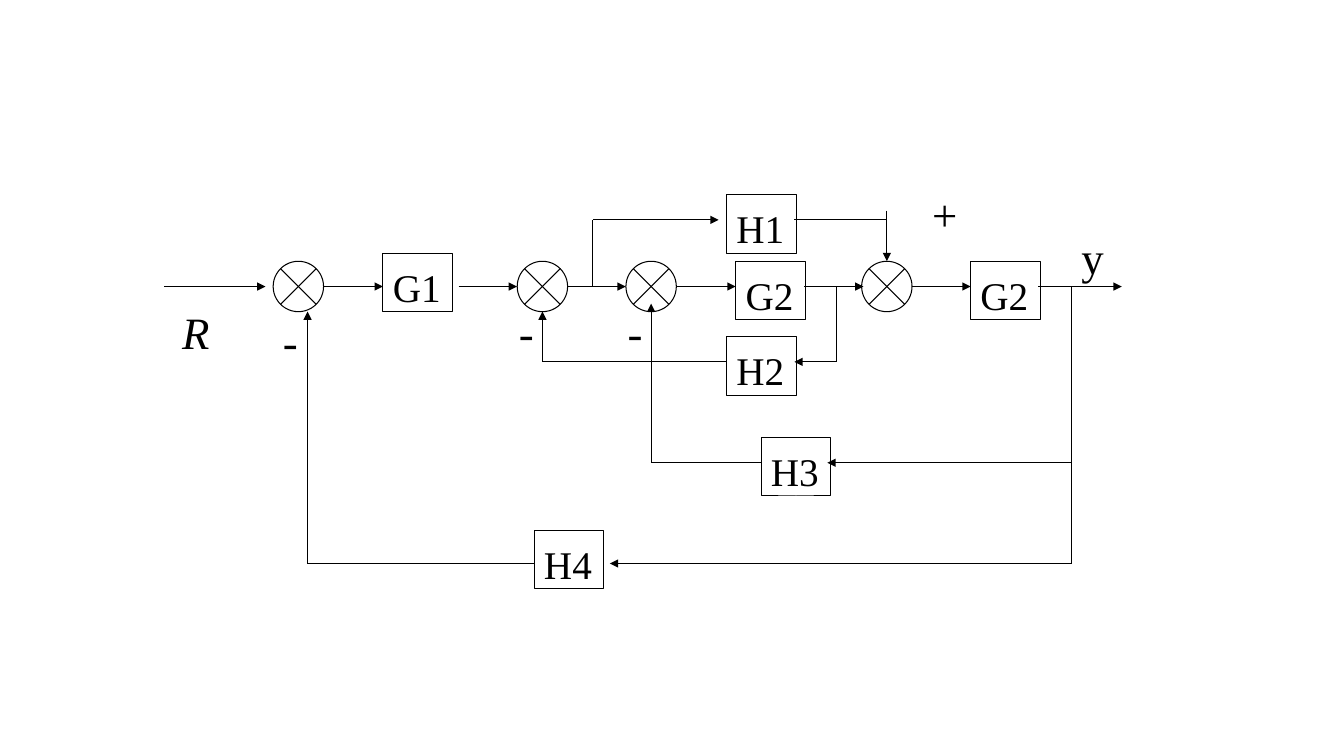
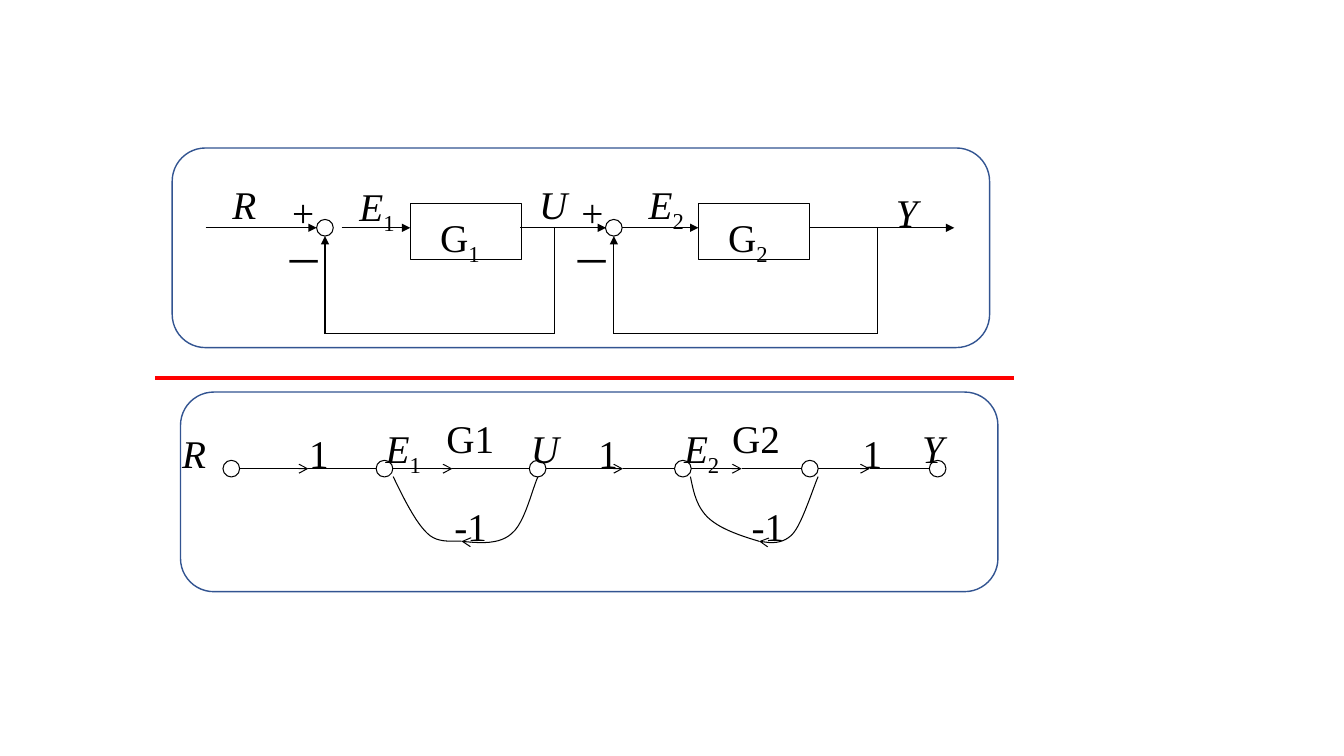
"""Build two slides of control diagrams: block diagrams and a signal-flow graph."""
from lxml import etree
from pptx import Presentation
from pptx.dml.color import RGBColor
from pptx.enum.shapes import MSO_CONNECTOR, MSO_SHAPE
from pptx.enum.text import MSO_ANCHOR, PP_ALIGN
from pptx.oxml.ns import qn
from pptx.util import Cm, Pt

RECTANGLE = MSO_SHAPE.RECTANGLE
ROUNDED = MSO_SHAPE.ROUNDED_RECTANGLE
OVAL = MSO_SHAPE.OVAL
JUNCTION = MSO_SHAPE.FLOWCHART_SUMMING_JUNCTION
STRAIGHT = MSO_CONNECTOR.STRAIGHT

COLORS = {"ink": "000000", "panel": "FFFFFF", "border": "325491", "divider": "FF0000"}
FONT = "Times New Roman"
ITALIC_SIGNALS = "REUY"
CURVE_STEPS = 12

LOOP_AXIS = 7.22
JUNCTION_SIZE = 1.27
JUNCTION_CENTERS = [7.52, 13.67, 16.41, 22.35]
LOOP_BLOCK_SIZE = (1.76, 1.48)
LOOP_BLOCKS = [
    ("G1", 9.65, 6.38), ("G2", 18.54, 6.58), ("G2", 24.46, 6.58), ("H1", 18.31, 4.9),
    ("H2", 18.31, 8.48), ("H3", 19.18, 11.02), ("H4", 13.46, 13.36),
]
LOOP_FORWARD = [
    (4.14, 6.69), (8.15, 9.65), (11.56, 13.03), (14.3, 15.77),
    (17.04, 18.54), (20.27, 21.76), (22.99, 24.46), (26.16, 28.27),
]
LOOP_BRANCHES = [
    [(27, LOOP_AXIS), (27, 14.2), (15.37, 14.2)],
    [(27, 11.66), (20.85, 11.66)],
    [(21.08, LOOP_AXIS), (21.08, 9.12), (20.02, 9.12)],
    [(18.31, 9.12), (13.67, 9.12), (13.67, 7.85)],
    [(19.18, 11.66), (16.41, 11.66), (16.41, 7.65)],
    [(14.94, LOOP_AXIS), (14.94, 5.54), (18.11, 5.54)],
    [(22.35, 5.31), (22.35, 6.58)],
    [(13.46, 14.2), (7.75, 14.2), (7.75, 7.85)],
]
H1_OUTPUT = [(20.02, 5.54), (22.35, 5.54)]
LOOP_LABELS = [
    ("-", 6.88, 7.65), ("-", 12.83, 7.44), ("-", 15.57, 7.44),
    ("+", 23.24, 4.45), ("R", 4.34, 7.44), ("y", 27, 5.54),
]

PANEL_SIZE = (20.6, 5.03)
PANELS = [(4.55, 9.88), (4.34, 3.73)]
DIVIDER = [(3.91, 9.53), (25.55, 9.53)]
NODE_SIZE = 0.42
CASCADE_AXIS = 5.74
CASCADE_NODES = [8.19, 15.47]
CASCADE_BLOCK_SIZE = (2.8, 1.42)
CASCADE_BLOCKS = [("G_1", 10.34, 5.13), ("G_2", 17.6, 5.13)]
CASCADE_FORWARD = [
    (5.18, 7.98), (8.61, 10.34), (13.11, 15.27), (15.67, 17.6), (20.4, 24.05),
]
CASCADE_FEEDBACK = [(13.97, 8.19), (22.12, 15.47)]
FEEDBACK_LEVEL = 8.41
GRAPH_AXIS = 11.81
GRAPH_NODES = [5.83, 9.69, 13.55, 17.21, 20.41, 23.63]
GRAPH_ARROW_TIPS = [7.77, 11.4, 15.7, 18.69, 21.92]
INCOMING_CURVES = [
    [(9.91, 12.01), (10.19, 12.6), (10.49, 13.18), (10.77, 13.44),
     (11.05, 13.72), (11.48, 13.61), (11.63, 13.64)],
    [(17.4, 12.01), (17.48, 12.4), (17.55, 12.75), (17.83, 13.03),
     (18.11, 13.31), (18.62, 13.49), (19.13, 13.64)],
]
OUTGOING_CURVES = [
    [(11.63, 13.64), (12.12, 13.69), (12.6, 13.72), (12.9, 13.44),
     (13.23, 13.18), (13.44, 12.24), (13.56, 12.01)],
    [(19.13, 13.64), (19.43, 13.69), (19.74, 13.72), (19.99, 13.44),
     (20.22, 13.18), (20.52, 12.22), (20.62, 12.01)],
]
SIGNAL_LABELS = [
    ("R", 5.61, 4.29), ("E_1", 8.81, 4.34), ("U", 13.34, 4.29), ("E_2", 16.1, 4.29),
    ("Y", 22.33, 4.5), ("+", 7.11, 4.5), ("+", 14.4, 4.5), ("－", 6.91, 5.74),
    ("－", 14.17, 5.74), ("1", 7.54, 10.57), ("1", 14.83, 10.57), ("1", 21.49, 10.57),
    ("-1", 11.2, 12.42), ("-1", 18.69, 12.42), ("R", 4.34, 10.57), ("E_1", 9.47, 10.44),
    ("U", 13.13, 10.44), ("E_2", 16.99, 10.44), ("Y", 22.99, 10.44),
    ("G1", 11, 10.2), ("G2", 18.2, 10.2),
]


def color(name):
    return RGBColor.from_string(COLORS[name])


def style_line(line, name="ink", width=0.75, **ends):
    line.color.rgb = color(name)
    line.width = Pt(width)
    properties = line._get_or_add_ln()
    for end, kind in ends.items():
        etree.SubElement(properties, qn(f"a:{end}"), type=kind)


def add_outline(slide, preset, left, top, width, height):
    shape = slide.shapes.add_shape(preset, Cm(left), Cm(top), Cm(width), Cm(height))
    shape.shadow.inherit = False
    shape.fill.background()
    style_line(shape.line)
    return shape


def add_circles(slide, preset, centers, axis, size):
    for center in centers:
        add_outline(slide, preset, center - size / 2, axis - size / 2, size, size)


def write_text(shape, text, size, indent=0.25):
    frame = shape.text_frame
    frame.word_wrap = True
    frame.vertical_anchor = MSO_ANCHOR.TOP
    frame.margin_left, frame.margin_top = Cm(indent), Cm(0.25)
    frame.margin_right = frame.margin_bottom = 0
    paragraph = frame.paragraphs[0]
    paragraph.alignment = PP_ALIGN.LEFT
    paragraph.font.name = FONT
    paragraph.font.size = Pt(size)
    paragraph.font.color.rgb = color("ink")
    base, _, subscript = text.partition("_")
    run = paragraph.add_run()
    run.text = base
    if base in ITALIC_SIGNALS:
        run.font.italic = True
    if subscript:
        run = paragraph.add_run()
        run.text = subscript
        run._r.get_or_add_rPr().set("baseline", "-25000")


def add_blocks(slide, blocks, block_size, indent=0.25):
    for text, left, top in blocks:
        block = add_outline(slide, RECTANGLE, left, top, *block_size)
        write_text(block, text, 28, indent)


def add_labels(slide, labels, size):
    for text, left, top in labels:
        box = slide.shapes.add_textbox(Cm(left), Cm(top), Cm(1.6), Cm(1.6))
        write_text(box, text, size)


def add_route(slide, points, arrow="triangle", name="ink", width=0.75):
    for index, (start, end) in enumerate(zip(points, points[1:]), 2):
        connector = slide.shapes.add_connector(
            STRAIGHT, *(Cm(value) for value in (*start, *end)))
        ends = {"tailEnd": arrow} if arrow and index == len(points) else {}
        style_line(connector.line, name, width, **ends)
        etree.SubElement(connector._element.spPr, qn("a:effectLst"))


def add_forward(slide, spans, axis):
    for start, end in spans:
        add_route(slide, [(start, axis), (end, axis)])


def bezier_point(controls, t):
    weights = ((1 - t) ** 3, 3 * t * (1 - t) ** 2, 3 * t * t * (1 - t), t ** 3)
    return tuple(Cm(sum(weight * point[axis] for weight, point in zip(weights, controls)))
                 for axis in (0, 1))


def add_curve(slide, controls, **ends):
    points = [bezier_point(controls[first:first + 4], step / CURVE_STEPS)
              for first in range(0, len(controls) - 1, 3)
              for step in range(1, CURVE_STEPS + 1)]
    start_x, start_y = controls[0]
    builder = slide.shapes.build_freeform(Cm(start_x), Cm(start_y))
    builder.add_line_segments(points, close=False)
    shape = builder.convert_to_shape()
    shape.shadow.inherit = False
    shape.fill.background()
    style_line(shape.line, **ends)


def build_loop_slide(slide):
    add_circles(slide, JUNCTION, JUNCTION_CENTERS, LOOP_AXIS, JUNCTION_SIZE)
    add_blocks(slide, LOOP_BLOCKS, LOOP_BLOCK_SIZE)
    add_forward(slide, LOOP_FORWARD, LOOP_AXIS)
    for branch in LOOP_BRANCHES:
        add_route(slide, branch)
    add_route(slide, H1_OUTPUT, arrow=None)
    add_labels(slide, LOOP_LABELS, 32)


def build_graph_slide(slide):
    for left, top in PANELS:
        panel = add_outline(slide, ROUNDED, left, top, *PANEL_SIZE)
        panel.fill.solid()
        panel.fill.fore_color.rgb = color("panel")
        style_line(panel.line, "border", 1)
    add_blocks(slide, CASCADE_BLOCKS, CASCADE_BLOCK_SIZE, indent=0.75)
    add_circles(slide, OVAL, CASCADE_NODES, CASCADE_AXIS, NODE_SIZE)
    add_forward(slide, CASCADE_FORWARD, CASCADE_AXIS)
    radius = NODE_SIZE / 2
    for tap, node in CASCADE_FEEDBACK:
        add_route(slide, [(tap, CASCADE_AXIS), (tap, FEEDBACK_LEVEL),
                          (node, FEEDBACK_LEVEL), (node, CASCADE_AXIS + radius)])
    add_circles(slide, OVAL, GRAPH_NODES, GRAPH_AXIS, NODE_SIZE)
    for start, tip, end in zip(GRAPH_NODES, GRAPH_ARROW_TIPS, GRAPH_NODES[1:]):
        add_route(slide, [(start + radius, GRAPH_AXIS), (tip, GRAPH_AXIS)], "arrow")
        add_route(slide, [(tip, GRAPH_AXIS), (end - radius, GRAPH_AXIS)], None)
    for curve in INCOMING_CURVES:
        add_curve(slide, curve)
    for curve in OUTGOING_CURVES:
        add_curve(slide, curve, headEnd="arrow")
    add_labels(slide, SIGNAL_LABELS, 28)
    add_route(slide, DIVIDER, None, "divider", 3)


def main():
    presentation = Presentation()
    presentation.slide_width, presentation.slide_height = Cm(33.87), Cm(19.05)
    for build in (build_loop_slide, build_graph_slide):
        build(presentation.slides.add_slide(presentation.slide_layouts[6]))
    presentation.save("out.pptx")


if __name__ == "__main__":
    main()
